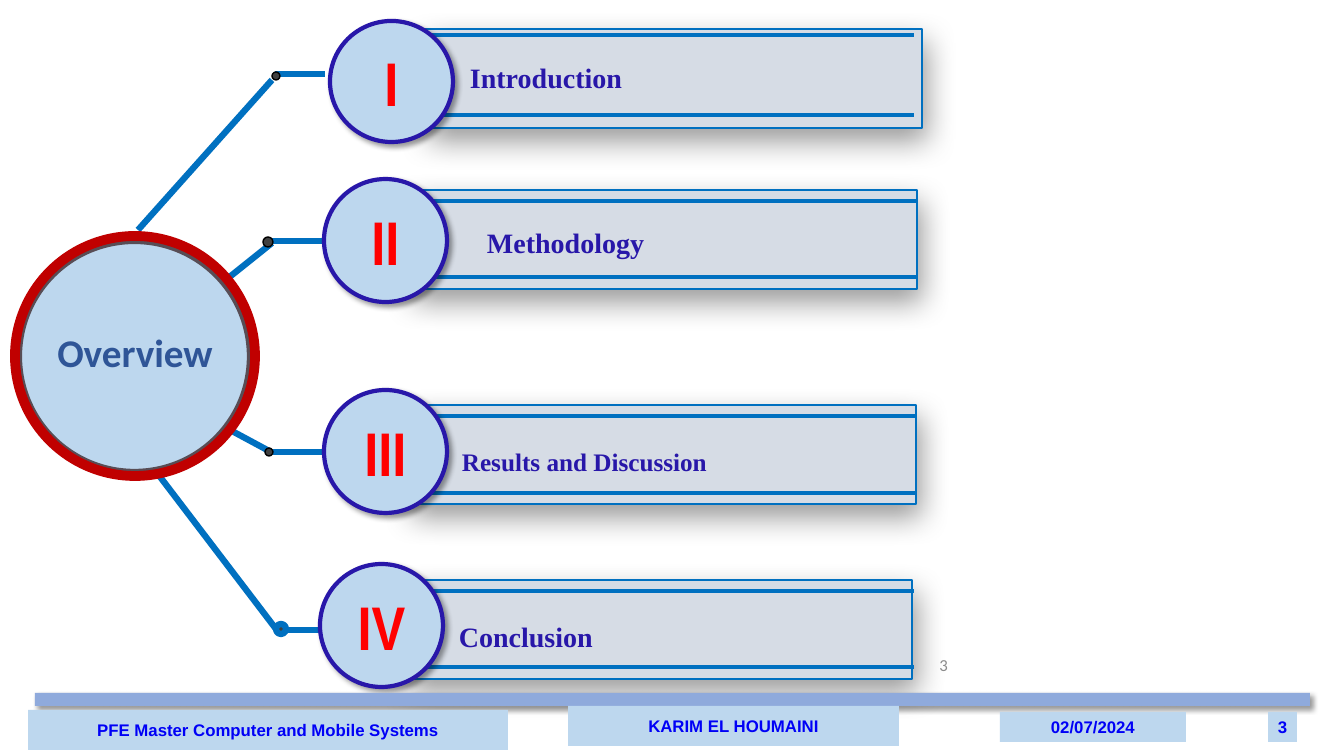
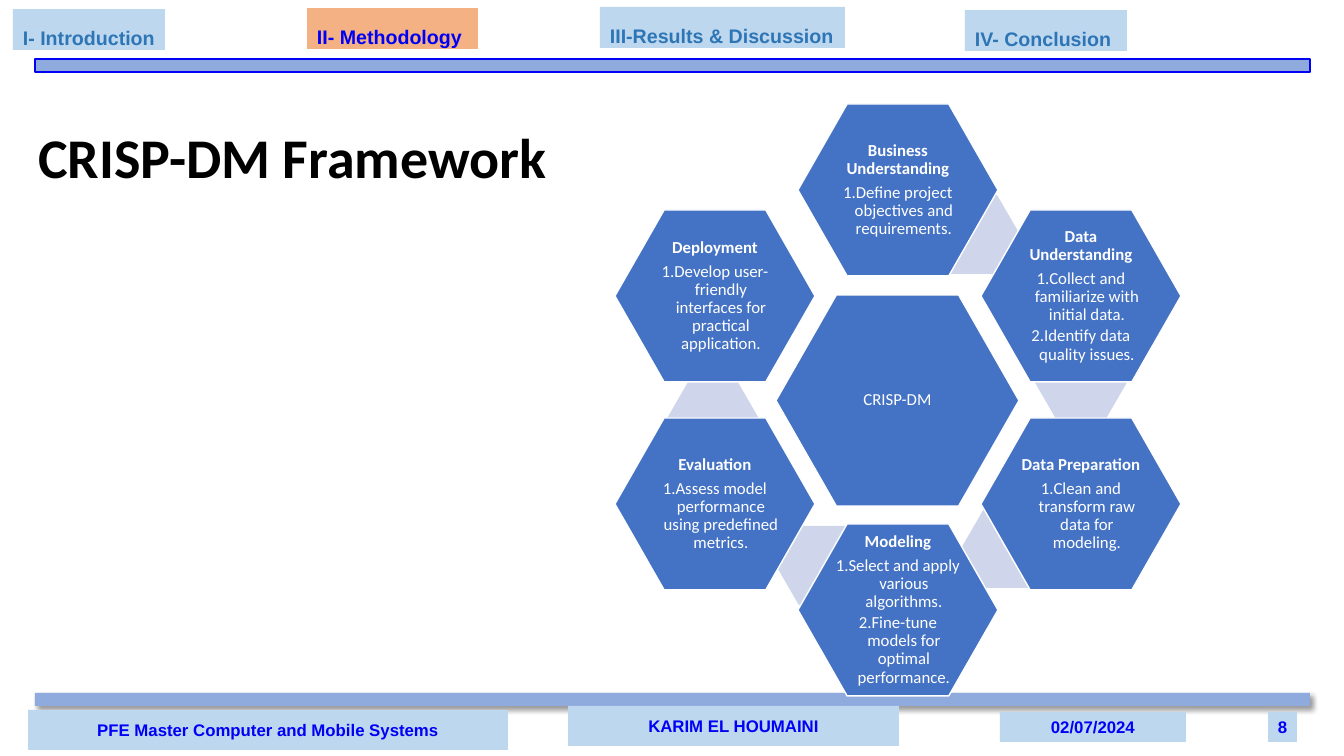
"""Builds the overview slide and the CRISP-DM framework slide."""
from lxml import etree
from pptx import Presentation
from pptx import util as u
from pptx.dml.color import RGBColor
from pptx.enum import shapes, text
from pptx.oxml.ns import qn

PX = 914400 / 100.8
rgb = RGBColor.from_string
RECT = shapes.MSO_SHAPE.RECTANGLE
OVAL = shapes.MSO_SHAPE.OVAL
HEXAGON = shapes.MSO_SHAPE.HEXAGON
LEFT, CENTER, RIGHT = text.PP_ALIGN.LEFT, text.PP_ALIGN.CENTER, text.PP_ALIGN.RIGHT
TOP, MIDDLE = text.MSO_ANCHOR.TOP, text.MSO_ANCHOR.MIDDLE

PALE, BLUE, INDIGO, LINK_BLUE = "BDD7EE", "0070C0", "2817A9", "0000F6"
BAND, STEEL, GREY = "8FAADC", "2E75B6", "404040"
SOFT_SHADOW, DEEP_SHADOW = (4, 3, 45), (22, 9, 73)

FOOTER = {"name": "Arial", "size": u.Pt(12), "bold": True}
TAB = {"name": "Arial", "size": u.Pt(14), "bold": True}
NUMERAL = {"name": "Arial Narrow", "size": u.Pt(44), "bold": True}
STAGE = {"name": "Calibri", "size": u.Pt(12)}
TITLE = {"name": "Calibri", "bold": True}
LOOSE = {"alignment": LEFT, "line_spacing": 1.5, "space_after": u.Pt(12)}
TIGHT = {"line_spacing": 0.9, "space_after": u.Pt(4)}
SIDES = ("margin_left", "margin_top", "margin_right", "margin_bottom")
SLIM = dict.fromkeys(SIDES, u.Emu(round(2 * PX)))


def box(slide, kind, at, lines=(), font={}, ink="000000", para={}, frame={},
        fill=None, line=None, weight=1, shadow=None):
    """Place a preset shape, a text box (kind None) or the title, with its text."""
    left, top, width, height = [u.Emu(round(n * PX)) for n in at]
    if kind == "title":
        shape = slide.shapes.title
        shape.left, shape.top, shape.width, shape.height = left, top, width, height
    elif kind is None:
        shape = slide.shapes.add_textbox(left, top, width, height)
    else:
        shape = slide.shapes.add_shape(kind, left, top, width, height)
    if fill:
        shape.fill.solid()
        shape.fill.fore_color.rgb = rgb(fill)
    else:
        shape.fill.background()
    if line:
        shape.line.color.rgb = rgb(line)
        shape.line.width = u.Pt(weight)
    else:
        shape.line.fill.background()
    shape.shadow.inherit = False
    if shadow:
        blur, distance, angle = shadow
        outer = etree.SubElement(
            shape.element.spPr.find(qn("a:effectLst")), qn("a:outerShdw"),
            blurRad=str(u.Pt(blur)), dist=str(u.Pt(distance)), dir=str(angle * 60000),
            algn="tl", rotWithShape="0")
        tint = etree.SubElement(outer, qn("a:srgbClr"), val="000000")
        etree.SubElement(tint, qn("a:alpha"), val="40000")
    body = shape.text_frame
    defaults = {"word_wrap": True, "vertical_anchor": MIDDLE, "auto_size": text.MSO_AUTO_SIZE.NONE}
    for name, value in {**defaults, **frame}.items():
        setattr(body, name, value)
    for index, words in enumerate(lines):
        paragraph = body.add_paragraph() if index else body.paragraphs[0]
        for name, value in {"alignment": CENTER, **para}.items():
            setattr(paragraph, name, value)
        run = paragraph.add_run()
        run.text = words
        run.font.color.rgb = rgb(ink)
        for name, value in font.items():
            setattr(run.font, name, value)
    return shape


def wire(slide, ends, weight):
    """Draw a straight blue line between two points."""
    straight = slide.shapes.add_connector(
        shapes.MSO_CONNECTOR.STRAIGHT, *[u.Emu(round(n * PX)) for n in ends])
    straight.line.color.rgb = rgb(BLUE)
    straight.line.width = u.Pt(weight)
    etree.SubElement(straight.element.spPr, qn("a:effectLst"))


deck = Presentation()
deck.slide_width, deck.slide_height = u.Emu(round(1344 * PX)), u.Emu(round(756 * PX))
overview, framework = [deck.slides.add_slide(deck.slide_layouts[5]) for _ in range(2)]

box(overview, None, (723, 645, 235, 40), ["3"], {"name": "Calibri", "size": u.Pt(12)},
    "8C8C8C", {"alignment": RIGHT})

for branch in (
    (325, 74, 275, 74), (138, 230, 272, 80),
    (323, 241, 272, 241), (207, 295, 272, 243),
    (324, 452, 273, 452), (271, 452, 206, 417),
    (325, 630, 281, 630), (132, 440, 276, 629),
):
    wire(overview, branch, 4.5)

box(overview, OVAL, (20, 242, 229, 229), fill=PALE, line="584D55", weight=3)
box(overview, OVAL, (15, 236, 240, 240), line="C00000", weight=7)
heading = box(overview, "title", (36, 323, 198, 57), ["Overview"],
              {**TITLE, "size": u.Pt(28)}, "2F5597")
heading.element.getparent().append(heading.element)

sections = (
    ("I", "Introduction", 20, (460, 39), (425, 29, 497), (432, 914, 35, 115),
     (330, 21, 123, 121), (272, 72, 8, 8), "000000", 1),
    ("II", "Methodology", 20, (477, 204), (409, 190, 508), (424, 917, 201, 277),
     (324, 179, 123, 123), (263, 237, 10, 10), "000000", 1),
    ("III", "Results and Discussion", 18, (452, 426), (408, 405, 508), (424, 916, 416, 493),
     (324, 390, 123, 123), (265, 448, 8, 8), "000000", 1),
    ("IV", "Conclusion", 20, (449, 598), (405, 580, 507), (422, 914, 591, 667),
     (320, 564, 123, 123), (276, 624, 10, 10), BLUE, 4.5),
)
for numeral, label, size, label_at, bar, rails, badge, dot, dot_line, dot_weight in sections:
    box(overview, RECT, (*bar, 99), fill="D6DCE5", line=BLUE, shadow=DEEP_SHADOW)
    start, end, *heights = rails
    for y in heights:
        wire(overview, (start, y, end, y), 2.25)
    box(overview, None, (*label_at, 402, 55), [label],
        {"name": "Times New Roman", "size": u.Pt(size), "bold": True}, INDIGO, LOOSE,
        {"vertical_anchor": TOP})
    box(overview, OVAL, badge, [numeral], NUMERAL, "FF0000", frame=SLIM,
        fill=PALE, line=INDIGO, weight=3, shadow=SOFT_SHADOW)
    box(overview, OVAL, dot, fill=GREY, line=dot_line, weight=dot_weight)

for slide, number in ((overview, "3"), (framework, "8")):
    box(slide, RECT, (35, 693, 1275, 13), fill=BAND, shadow=SOFT_SHADOW)
    for words, at in (
        ("PFE Master Computer and Mobile Systems", (28, 710, 480, 40)),
        ("KARIM EL HOUMAINI", (568, 706, 331, 40)),
        ("02/07/2024", (1000, 712, 186, 30)),
        (number, (1268, 712, 29, 30)),
    ):
        box(slide, RECT, at, [words], FOOTER, LINK_BLUE, fill=PALE)

box(framework, RECT, (35, 59, 1275, 13), fill=BAND, line=LINK_BLUE)
for words, at, fill, ink in (
    ("I- Introduction", (13, 9, 152, 41), PALE, STEEL),
    ("II- Methodology", (307, 8, 171, 41), "F4B183", LINK_BLUE),
    ("III-Results & Discussion", (600, 7, 245, 41), PALE, STEEL),
    ("IV- Conclusion", (965, 10, 162, 41), PALE, STEEL),
):
    box(framework, RECT, at, [words], TAB, ink, LOOSE,
        {"word_wrap": False, "vertical_anchor": TOP}, fill=fill)
box(framework, "title", (28, 117, 535, 78), ["CRISP-DM Framework"],
    {**TITLE, "size": u.Pt(40)}, para={"alignment": LEFT})

core = box(framework, HEXAGON, (776, 295, 243, 211), ["CRISP-DM"], STAGE, "FFFFFF", TIGHT, SLIM,
           fill="4472C4", line="FFFFFF")
core.adjustments[0] = 0.286
for x, y in ((928, 195), (1035, 343), (961, 509), (776, 526), (667, 379)):
    link = box(framework, HEXAGON, (x, y, 92, 79), fill="CFD5EA")
    link.adjustments[0] = 0.289

stages = (
    (0, -210, ["Business Understanding", "Define project objectives and requirements."]),
    (183, -104, ["Data Understanding", "Collect and familiarize with initial data.",
                 "Identify data quality issues."]),
    (183, 104, ["Data Preparation", "Clean and transform raw data for modeling."]),
    (0, 210, ["Modeling", "Select and apply various algorithms.",
              "Fine-tune models for optimal performance."]),
    (-183, 104, ["Evaluation", "Assess model performance using predefined metrics."]),
    (-183, -104, ["Deployment", "Develop user-friendly interfaces for practical application."]),
)
for across, down, lines in stages:
    stage = box(framework, HEXAGON, (798 + across, 314 + down, 200, 172), lines, STAGE, "FFFFFF",
                TIGHT, SLIM, fill="4472C4", line="FFFFFF")
    stage.adjustments[0] = 0.286
    name, *tasks = stage.text_frame.paragraphs
    name.runs[0].font.bold = True
    for task in tasks:
        indent = round(12 * PX)
        layout = task._p.get_or_add_pPr()
        layout.set("marL", str(indent))
        layout.set("indent", str(-indent))
        etree.SubElement(layout, qn("a:buAutoNum"), type="arabicPeriod")
        task.space_after = u.Pt(2)

deck.save("out.pptx")
